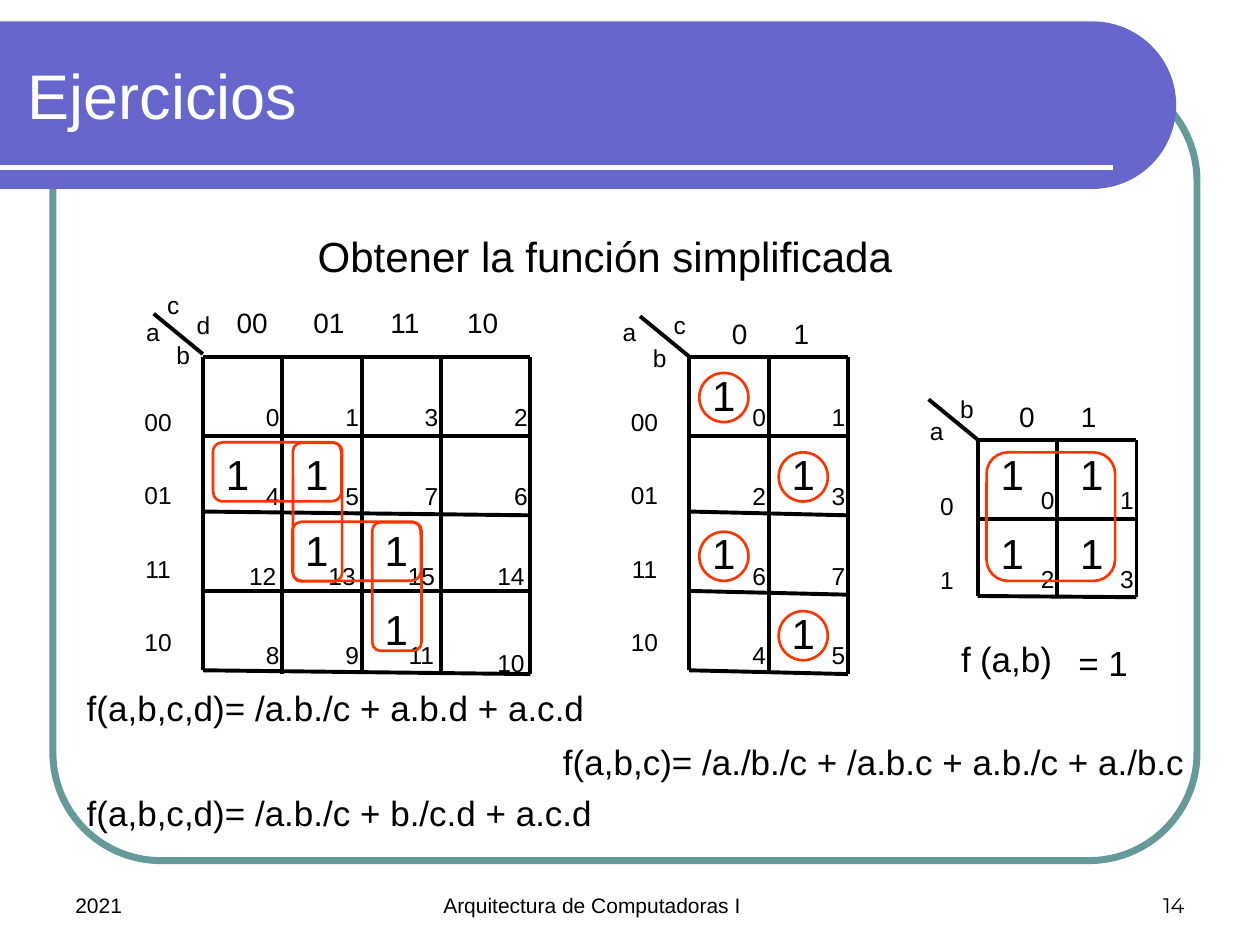
import math

from lxml import etree
from pptx import Presentation
from pptx import util as u
from pptx.dml.color import RGBColor
from pptx.enum import shapes, text
from pptx.oxml.ns import qn

BLACK, WHITE, RED = "000000", "FFFFFF", "FF3300"
VIOLET, TEAL = "6666CC", "669999"
CELL = 0.63
LEFT, CENTER, RIGHT = text.PP_ALIGN.LEFT, text.PP_ALIGN.CENTER, text.PP_ALIGN.RIGHT
TOP, MIDDLE, BOTTOM = text.MSO_ANCHOR.TOP, text.MSO_ANCHOR.MIDDLE, text.MSO_ANCHOR.BOTTOM


def inches(*values):
    """Convert numbers to lengths."""
    return [u.Inches(value) for value in values]


def paint(color_format, color):
    """Set a colour from a hex string."""
    color_format.rgb = RGBColor.from_string(color)


def write(frame, words, size=14, color=BLACK, font="Arial", align=CENTER,
          anchor=TOP, spacing=None, tab_step=None):
    """Fill a text frame, one paragraph per line of words."""
    frame.word_wrap = True
    frame.vertical_anchor = anchor
    frame.text = words
    for paragraph in frame.paragraphs:
        paragraph.alignment = align
        if spacing:
            paragraph.line_spacing = spacing
        for run in paragraph.runs:
            run.font.size = u.Pt(size)
            run.font.name = font
            paint(run.font.color, color)
        if tab_step:
            stops = etree.SubElement(paragraph.runs[0]._r.getparent().get_or_add_pPr(),
                                     qn("a:tabLst"))
            for number in range(1, words.count("\t") + 1):
                etree.SubElement(stops, qn("a:tab"), algn="l",
                                 pos=str(u.Inches(number * tab_step)))


def label(slide, words, left, top, width=0.47, height=0.34, **style):
    """Add a text box."""
    write(slide.shapes.add_textbox(*inches(left, top, width, height)).text_frame,
          words, **style)


def line(slide, x1, y1, x2, y2, color=BLACK, weight=2.25):
    """Add a straight line without shadow."""
    stroke = slide.shapes.add_connector(shapes.MSO_CONNECTOR.STRAIGHT,
                                        *inches(x1, y1, x2, y2))
    paint(stroke.line.color, color)
    stroke.line.width = u.Pt(weight)
    etree.SubElement(stroke._element.spPr, qn("a:effectLst"))


def outline(slide, kind, left, top, width, height, color=RED, weight=1.5, turn=0):
    """Add an unfilled preset shape and return it."""
    ring = slide.shapes.add_shape(kind, *inches(left, top, width, height))
    ring.shadow.inherit = False
    ring.fill.background()
    paint(ring.line.color, color)
    ring.line.width = u.Pt(weight)
    ring.rotation = turn
    return ring


def loop(slide, left, top, width, height, turn=0):
    """Add a rounded group around neighbouring ones."""
    outline(slide, shapes.MSO_SHAPE.ROUNDED_RECTANGLE, left, top, width, height, turn=turn)


def backdrop(slide):
    """Draw the rounded frame, the banner and its rule."""
    frame = outline(slide, shapes.MSO_SHAPE.ROUNDED_RECTANGLE,
                    0.42, 0.58, 9.08, 6.25, TEAL, 4)
    frame.adjustments[0] = 0.137
    radius, steps = 0.665, 48
    arc = [(8.67 + radius * math.sin(math.pi * i / steps),
            0.835 - radius * math.cos(math.pi * i / steps)) for i in range(steps + 1)]
    builder = slide.shapes.build_freeform(0, u.Inches(0.17))
    builder.add_line_segments([inches(*point) for point in arc + [(0, 1.5)]])
    banner = builder.convert_to_shape()
    banner.shadow.inherit = False
    banner.fill.solid()
    paint(banner.fill.fore_color, VIOLET)
    banner.line.fill.background()
    line(slide, 0, 1.33, 8.83, 1.33, WHITE, 3)


def karnaugh(slide, columns, top, rows, slants, minterms, variables, corner,
             headers, sides, one_tops, ones, lowered=()):
    """Draw a map: grid, corner, headings, cell numbers and ones."""
    left, right = columns[0], columns[-1]
    bottom = top + rows[-1]
    for x in columns:
        line(slide, x, top, x, bottom + (slants[-1] if x > left else 0))
    for row, slant in zip(rows, slants):
        line(slide, right, top + row + slant, left, top + row)
    line(slide, left - 0.39, corner - 0.32, left, corner)
    for name, dx, y in variables:
        label(slide, name, left + dx, y)
    header_left, header_top, header_step, names = headers
    label(slide, "\t".join(names), header_left, header_top,
          header_step * len(names) + 0.1, 0.37, size=16, align=LEFT, tab_step=header_step)
    side_left, side_top, side_width, names = sides
    label(slide, "\n".join(names), side_left, side_top, side_width,
          0.59 * len(names), spacing=2.5)
    for row, numbers in enumerate(minterms):
        for edge, number in zip(columns[1:], numbers):
            shift = 0.39 if number > 9 else 0.31
            drop = 0.06 if number in lowered else 0
            label(slide, str(number), edge - shift, top + 0.31 + row * CELL + drop)
    for row, column in ones:
        label(slide, "1", columns[column], one_tops[row], 0.55, 0.5, size=24)


def main():
    """Build the slide."""
    deck = Presentation()
    deck.slide_width, deck.slide_height = inches(10, 7.5)
    slide = deck.slides.add_slide(deck.slide_layouts[5])
    backdrop(slide)

    title = slide.shapes.title
    title.left, title.top, title.width, title.height = inches(0.12, 0.25, 6.93, 1)
    write(title.text_frame, "Ejercicios", size=36, color=WHITE, align=LEFT, anchor=MIDDLE)
    title.element.getparent().append(title.element)

    footer = dict(size=12, anchor=BOTTOM)
    label(slide, "14", 7.17, 6.83, 2.33, 0.5, font="Montserrat", align=RIGHT, **footer)
    label(slide, "Arquitectura de Computadoras I", 3.42, 6.83, 3.17, 0.5,
          align=LEFT, **footer)
    label(slide, "2021", 0.5, 6.83, 2.33, 0.5, align=LEFT, **footer)
    label(slide, "Obtener la función simplificada", 2.24, 1.78, 5.12, 0.5, size=24)

    gray = ["00", "01", "11", "10"]
    four_rows = (0, 0.63, 1.23, 1.86, 2.49)
    karnaugh(slide, (1.61, 2.24, 2.87, 3.5, 4.21), 2.83, four_rows,
             (0, 0, 0.03, 0, 0.03),
             [(0, 1, 3, 2), (4, 5, 7, 6), (12, 13, 15, 14), (8, 9, 11, 10)],
             [("c", -0.47, 2.25), ("d", -0.23, 2.41), ("a", -0.63, 2.47),
              ("b", -0.39, 2.65)],
             2.81, (1.78, 2.38, 0.61, gray), (0.98, 2.83, 0.55, gray),
             (2.88, 3.51, 4.11, 4.74), [(1, 0), (1, 1), (2, 1), (2, 2), (3, 2)],
             lowered=(10,))
    three_ones = [(0, 0), (1, 1), (2, 0), (3, 1)]
    karnaugh(slide, (5.47, 6.1, 6.73), 2.83, four_rows, (0, 0, 0.03, 0.03, 0.03),
             [(0, 1), (2, 3), (6, 7), (4, 5)],
             [("c", -0.31, 2.41), ("a", -0.71, 2.47), ("b", -0.47, 2.67)],
             2.83, (5.71, 2.46, 0.49, "01"), (4.84, 2.83, 0.55, gray),
             (2.88, 3.51, 4.14, 4.77), three_ones)
    karnaugh(slide, (7.76, 8.39, 9.02), 3.49, (0, 0.63, 1.24), (0, 0, 0.01),
             [(0, 1), (2, 3)], [("b", -0.32, 3.08), ("a", -0.56, 3.25)],
             3.49, (7.99, 3.12, 0.49, "01"), (7.28, 3.5, 0.47, "01"),
             (3.51, 4.14), [(0, 0), (0, 1), (1, 0), (1, 1)])

    loop(slide, 1.69, 3.51, 1.02, 0.47)
    loop(slide, 2.32, 4.14, 1.02, 0.47)
    loop(slide, 2.64, 4.46, 1.02, 0.39, turn=90)
    loop(slide, 1.97, 3.87, 1.1, 0.39, turn=90)
    loop(slide, 7.83, 3.59, 1.02, 1.02)
    for row, column in three_ones:
        outline(slide, shapes.MSO_SHAPE.OVAL, 5.55 + column * CELL, 2.96 + row * CELL,
                0.39, 0.39)

    for formula, left, top, width in [
            ("f(a,b,c,d)= /a.b./c + a.b.d + a.c.d", 0.59, 5.4, 4.17),
            ("f(a,b,c,d)= /a.b./c + b./c.d + a.c.d", 0.59, 6.23, 4.33),
            ("f(a,b,c)= /a./b./c + /a.b.c + a.b./c + a./b.c", 4.37, 5.83, 5.16),
            ("f", 7.53, 5.01, 0.31),
            ("(a,b)", 7.68, 5.01, 0.79),
            ("= 1", 8.46, 5.04, 0.63)]:
        label(slide, formula, left, top, width, 0.44, size=20, align=LEFT)

    deck.save("out.pptx")


main()
